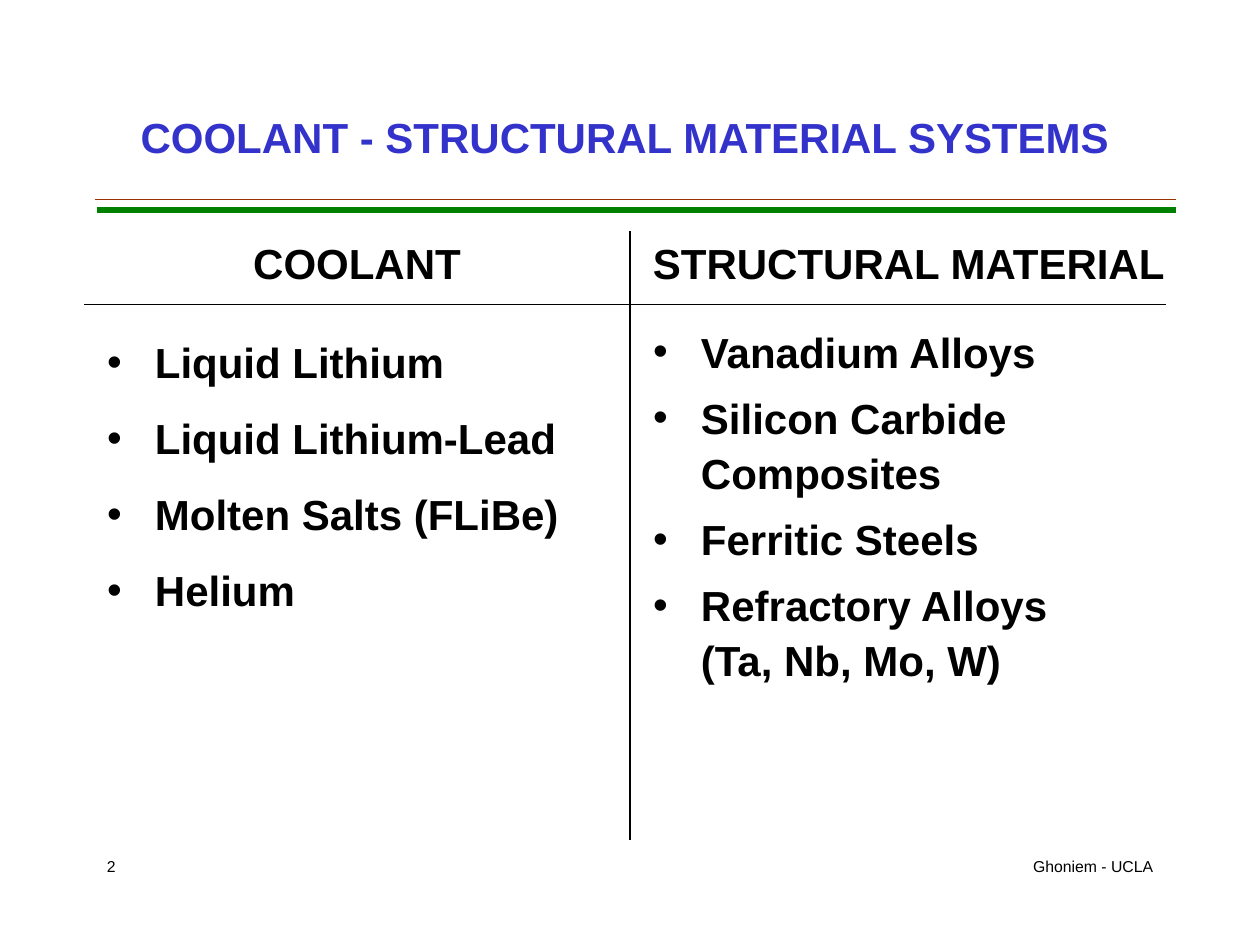
from lxml.etree import SubElement
from pptx import Presentation
from pptx.dml.color import RGBColor
from pptx.enum.shapes import MSO_CONNECTOR
from pptx.enum.text import MSO_ANCHOR, MSO_AUTO_SIZE, PP_ALIGN
from pptx.oxml.ns import qn
from pptx.util import Inches, Pt

THEME = {
    "font": "Arial",
    "title": RGBColor(0x33, 0x33, 0xCC),
    "text": RGBColor(0, 0, 0),
    "brown": RGBColor(0x99, 0x33, 0x00),
    "green": RGBColor(0, 0x80, 0),
    "large": Pt(24),
    "small": Pt(9),
}

prs = Presentation()
prs.slide_width, prs.slide_height = Inches(10), Inches(7.5)
CELL = prs.slide_width // 120  # grid of 120 columns by 90 rows
s = prs.slides.add_slide(prs.slide_layouts[3])  # title and two lists


def write(sp, box, lines, size="large", color="text", align=PP_ALIGN.LEFT,
          anchor=MSO_ANCHOR.TOP, spacing=None):
    """Place a shape on the grid and fill it; a line spacing makes it a list."""
    sp.left, sp.top, sp.width, sp.height = (round(n * CELL) for n in box)
    tf = sp.text_frame
    frame = {"word_wrap": True, "auto_size": MSO_AUTO_SIZE.NONE,
             "vertical_anchor": anchor}
    for name, value in frame.items():
        setattr(tf, name, value)
    tf.text = "\n".join(lines)
    font = {"name": THEME["font"], "size": THEME[size], "bold": size == "large"}
    for i, p in enumerate(tf.paragraphs):
        p.alignment = align
        if spacing:
            p.line_spacing = spacing
            p.space_before = Pt(6 if i else 0)
            pPr = p._p.get_or_add_pPr()
            pPr.set("marL", str(Inches(0.38)))
            pPr.set("indent", str(-Inches(0.38)))
        for r in p.runs:
            for name, value in font.items():
                setattr(r.font, name, value)
            r.font.color.rgb = THEME[color]


# Rules under the title, then the cross that divides the columns
rules = [
    (9, 19, 112, 19, "brown", 1),
    (9.25, 20, 112, 20, "green", 3),
    (60, 22, 60, 80, "text", 0.75),
    (111, 29, 8, 29, "text", 0.75),
]
for x1, y1, x2, y2, color, width in rules:
    ends = (round(n * CELL) for n in (x1, y1, x2, y2))
    rule = s.shapes.add_connector(MSO_CONNECTOR.STRAIGHT, *ends)
    rule.line.color.rgb = THEME[color]
    rule.line.width = Pt(width)
    SubElement(rule._element.spPr, qn("a:effectLst"))

# Title
write(s.shapes.title, (9, 8, 101, 10), ["COOLANT - STRUCTURAL MATERIAL SYSTEMS"],
      color="title", align=PP_ALIGN.CENTER, anchor=MSO_ANCHOR.MIDDLE)

# Lists
coolants = ["Liquid Lithium", "Liquid Lithium-Lead", "Molten Salts (FLiBe)", "Helium"]
materials = ["Vanadium Alloys", "Silicon Carbide Composites", "Ferritic Steels",
             "Refractory Alloys\v(Ta, Nb, Mo, W)"]
write(s.placeholders[1], (9, 30, 50, 50), coolants, spacing=1.3)
write(s.placeholders[2], (61, 30, 53, 50), materials, spacing=1.1)

# Column headings and footer
labels = [
    ((9, 22, 50, 6), "COOLANT", "large", PP_ALIGN.CENTER),
    ((61, 22, 52, 6), "STRUCTURAL MATERIAL", "large", PP_ALIGN.LEFT),
    ((73, 81, 38, 4), "Ghoniem - UCLA", "small", PP_ALIGN.RIGHT),
    ((9, 81, 26, 4), "2", "small", PP_ALIGN.LEFT),
]
for box, text, size, align in labels:
    write(s.shapes.add_textbox(0, 0, 0, 0), box, [text], size=size, align=align)

prs.save("out.pptx")
